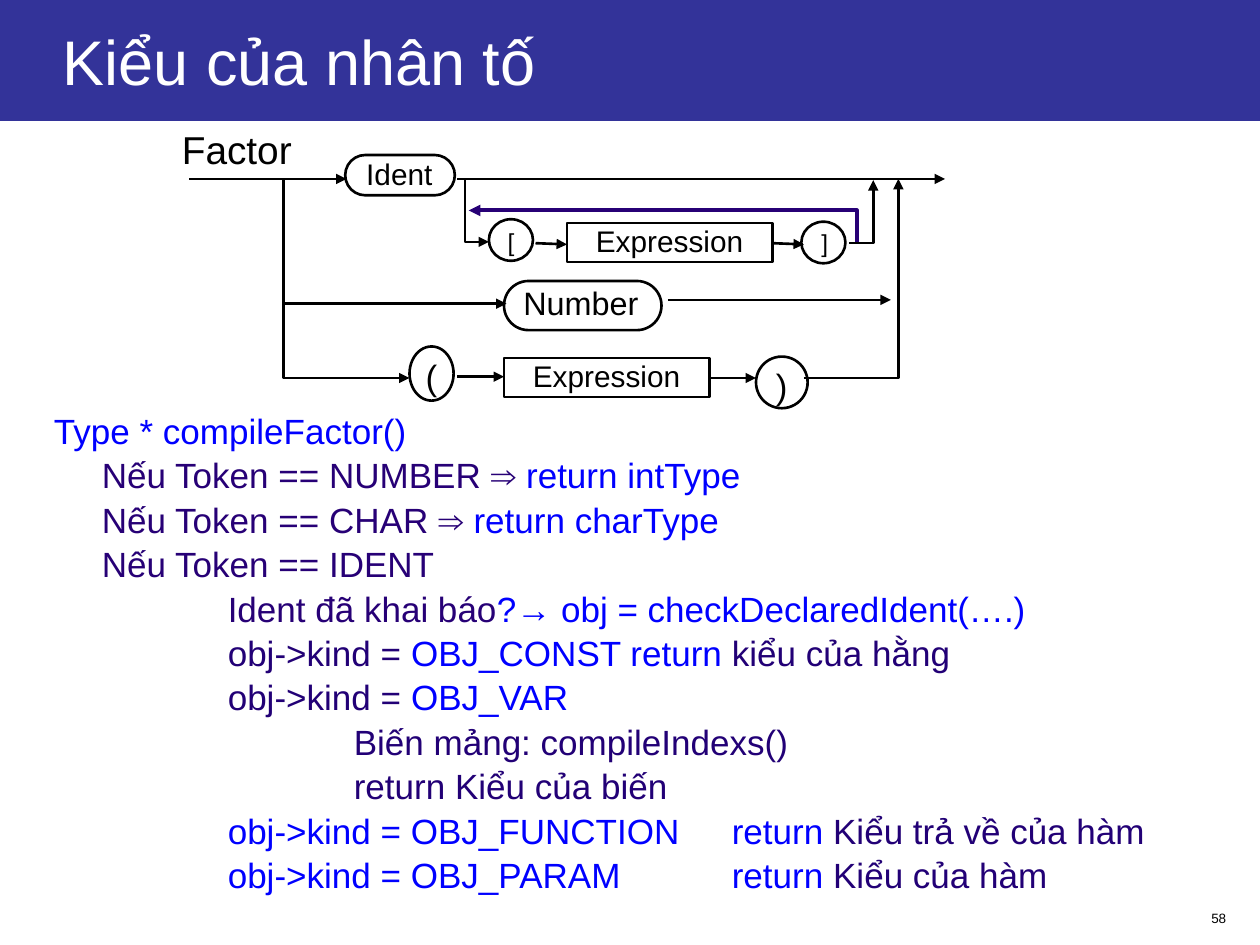
from lxml import etree
from pptx import Presentation
from pptx import util as u
from pptx.dml.color import RGBColor
from pptx.enum import shapes, text
from pptx.oxml.ns import qn

BLACK, WHITE, BLUE, BAND = "000000", "FFFFFF", "0000FF", "333399"
PURPLE, VIOLET = "270076", "220076"
SHAPE = shapes.MSO_SHAPE
ALIGN = text.PP_ALIGN

CODE = [
    [("Type * compileFactor()", BLUE)],
    [("\tNếu Token == NUMBER ⇒ ", PURPLE), ("return intType", BLUE)],
    [("\tNếu Token == CHAR ⇒ ", PURPLE), ("return charType", BLUE)],
    [("\tNếu Token == IDENT", PURPLE)],
    [("\t\tIdent đã khai báo", PURPLE), ("?→ obj = checkDeclaredIdent(….)", BLUE)],
    [("\t\tobj->kind = ", VIOLET), ("OBJ_CONST return", BLUE), (" kiểu của hằng", VIOLET)],
    [("\t\tobj->kind = ", VIOLET), ("OBJ_VAR", BLUE)],
    [("\t\t\tBiến mảng: compileIndexs()", VIOLET)],
    [("\t\t\treturn Kiểu của biến", VIOLET)],
    [("\t\tobj->kind = OBJ_FUNCTION\treturn", BLUE), (" Kiểu trả về của hàm", VIOLET)],
    [("\t\tobj->kind = OBJ_PARAM\treturn", BLUE), (" Kiểu của hàm", VIOLET)],
]

NODES = [
    (SHAPE.OVAL, (3.25, 2.75, 0.35, 0.43), (3.25, 2.79, 0.35, 0.43), "(", 20, (0.06, 0.03)),
    (SHAPE.OVAL, (6, 2.83, 0.41, 0.41), (6, 2.86, 0.41, 0.41), ")", 20, (0.06, 0.03)),
    (SHAPE.OVAL, (3.88, 1.74, 0.35, 0.33), (3.88, 1.77, 0.35, 0.33), "[", 14, (0.06, 0.03)),
    (SHAPE.OVAL, (6.36, 1.76, 0.35, 0.33), (6.37, 1.78, 0.35, 0.33), "]", 14, (0.06, 0.03)),
    (SHAPE.ROUNDED_RECTANGLE, (4, 2.23, 1.25, 0.39), (4.05, 2.25, 1.12, 0.33), "Number", 18.5, (0.01, 0)),
    (SHAPE.ROUNDED_RECTANGLE, (2.74, 1.23, 0.87, 0.32), (2.76, 1.24, 0.82, 0.3), "Ident", 17, (0.01, 0)),
]

ARROWS = [
    ((1.5, 1.42), (2.75, 1.42)),
    ((3.63, 1.42), (7.5, 1.42)),
    ((4.25, 1.93), (4.5, 1.94)),
    ((6.13, 1.93), (6.38, 1.94)),
    ((2.25, 2.41), (4.02, 2.41)),
    ((5.3, 2.38), (7.07, 2.38)),
    ((3.63, 2.99), (4, 2.99)),
    ((5.63, 3), (6, 3)),
]

BRANCHES = [
    [(2.25, 1.42), (2.25, 3), (3.25, 3)],
    [(6.38, 3), (7.13, 3), (7.13, 1.42)],
    [(3.69, 1.42), (3.69, 1.92), (3.88, 1.92)],
    [(6.74, 1.93), (6.93, 1.93), (6.93, 1.43)],
]


def color(value):
    return RGBColor.from_string(value)


def inches(values):
    return [u.Inches(value) for value in values]


def write(shape, paragraphs, size=17, align=ALIGN.LEFT, insets=(0.1, 0.05, 0.1, 0.05),
          anchor=text.MSO_ANCHOR.TOP):
    frame = shape.text_frame
    frame.word_wrap = True
    frame.vertical_anchor = anchor
    frame.margin_left, frame.margin_top, frame.margin_right, frame.margin_bottom = inches(insets)
    for index, runs in enumerate(paragraphs):
        paragraph = frame.paragraphs[0] if index == 0 else frame.add_paragraph()
        paragraph.alignment = align
        for words, shade in runs:
            run = paragraph.add_run()
            run.text = words
            run.font.name = "Arial"
            run.font.size = u.Pt(size)
            run.font.color.rgb = color(shade)


def add_text(parent, box, paragraphs, **options):
    shape = parent.add_textbox(*inches(box))
    write(shape, paragraphs, **options)
    return shape


def add_outline(parent, kind, box):
    shape = parent.add_shape(kind, *inches(box))
    shape.shadow.inherit = False
    shape.fill.background()
    shape.line.color.rgb = color(BLACK)
    shape.line.width = u.Pt(1.5)
    if kind == SHAPE.ROUNDED_RECTANGLE:
        shape.adjustments[0] = 0.5
    return shape


def add_node(parent, kind, box, label_box, label, size, insets):
    group = parent.add_group_shape()
    add_outline(group.shapes, kind, box)
    add_text(group.shapes, label_box, [[(label, BLACK)]], size=size,
             align=ALIGN.CENTER, insets=insets * 2)


def add_expression(parent, left, top):
    shape = add_outline(parent, SHAPE.RECTANGLE, (left, top, 1.63, 0.31))
    write(shape, [[("Expression", BLACK)]], align=ALIGN.CENTER, insets=(0.07, 0, 0.07, 0))


def style_arrow(shape, shade, width):
    shape.line.color.rgb = color(shade)
    shape.line.width = u.Pt(width)
    properties = shape._element.spPr
    etree.SubElement(properties.find(qn("a:ln")), qn("a:tailEnd"), type="triangle")
    etree.SubElement(properties, qn("a:effectLst"))


def add_arrow(parent, start, end):
    connector = parent.add_connector(shapes.MSO_CONNECTOR.STRAIGHT, *inches(start + end))
    style_arrow(connector, BLACK, 1.5)


def add_branch(parent, points, shade=BLACK, width=1.5):
    start, *others = [inches(point) for point in points]
    builder = parent.build_freeform(*start)
    builder.add_line_segments(others, close=False)
    shape = builder.convert_to_shape()
    shape.fill.background()
    style_arrow(shape, shade, width)


def add_code(parent):
    shape = add_text(parent, (0.33, 3.25, 9.17, 4.17), CODE, size=20)
    for paragraph in shape.text_frame.paragraphs:
        paragraph.line_spacing = 0.85
        paragraph.space_before = u.Pt(5)
        properties = paragraph._p.get_or_add_pPr()
        properties.set("marL", str(u.Inches(0.38)))
        properties.set("indent", str(u.Inches(-0.38)))
        properties.set("defTabSz", str(u.Inches(1)))
        stops = etree.SubElement(properties, qn("a:tabLst"))
        for position in range(8):
            etree.SubElement(stops, qn("a:tab"), pos=str(u.Inches(0.38 + position)), algn="l")


def add_title(parent):
    band = parent.add_shape(SHAPE.RECTANGLE, *inches((0, 0, 10, 0.96)))
    band.shadow.inherit = False
    band.fill.solid()
    band.fill.fore_color.rgb = color(BAND)
    band.line.fill.background()
    write(band, [[("Kiểu của nhân tố", WHITE)]], size=36,
          insets=(0.5, 0.05, 0.1, 0.05), anchor=text.MSO_ANCHOR.MIDDLE)


def main():
    presentation = Presentation()
    presentation.slide_width, presentation.slide_height = inches((10, 7.5))
    slide = presentation.slides.add_slide(presentation.slide_layouts[6])
    parent = slide.shapes
    add_text(parent, (7.75, 7.17, 2.08, 0.24), [[("58", BLACK)]], size=7.7, align=ALIGN.RIGHT)
    add_code(parent)
    add_title(parent)
    add_text(parent, (1.25, 1, 1.26, 0.4), [[("Factor", BLACK)]], size=22.2,
             align=ALIGN.CENTER, insets=(0, 0, 0, 0))
    for node in NODES:
        add_node(parent, *node)
    add_expression(parent, 4.5, 1.77)
    add_expression(parent, 4, 2.84)
    for start, end in ARROWS:
        add_arrow(parent, start, end)
    for points in BRANCHES:
        add_branch(parent, points)
    add_branch(parent, [(6.8, 1.92), (6.8, 1.67), (3.72, 1.67)], shade=PURPLE, width=2.25)
    presentation.save("out.pptx")


if __name__ == "__main__":
    main()
